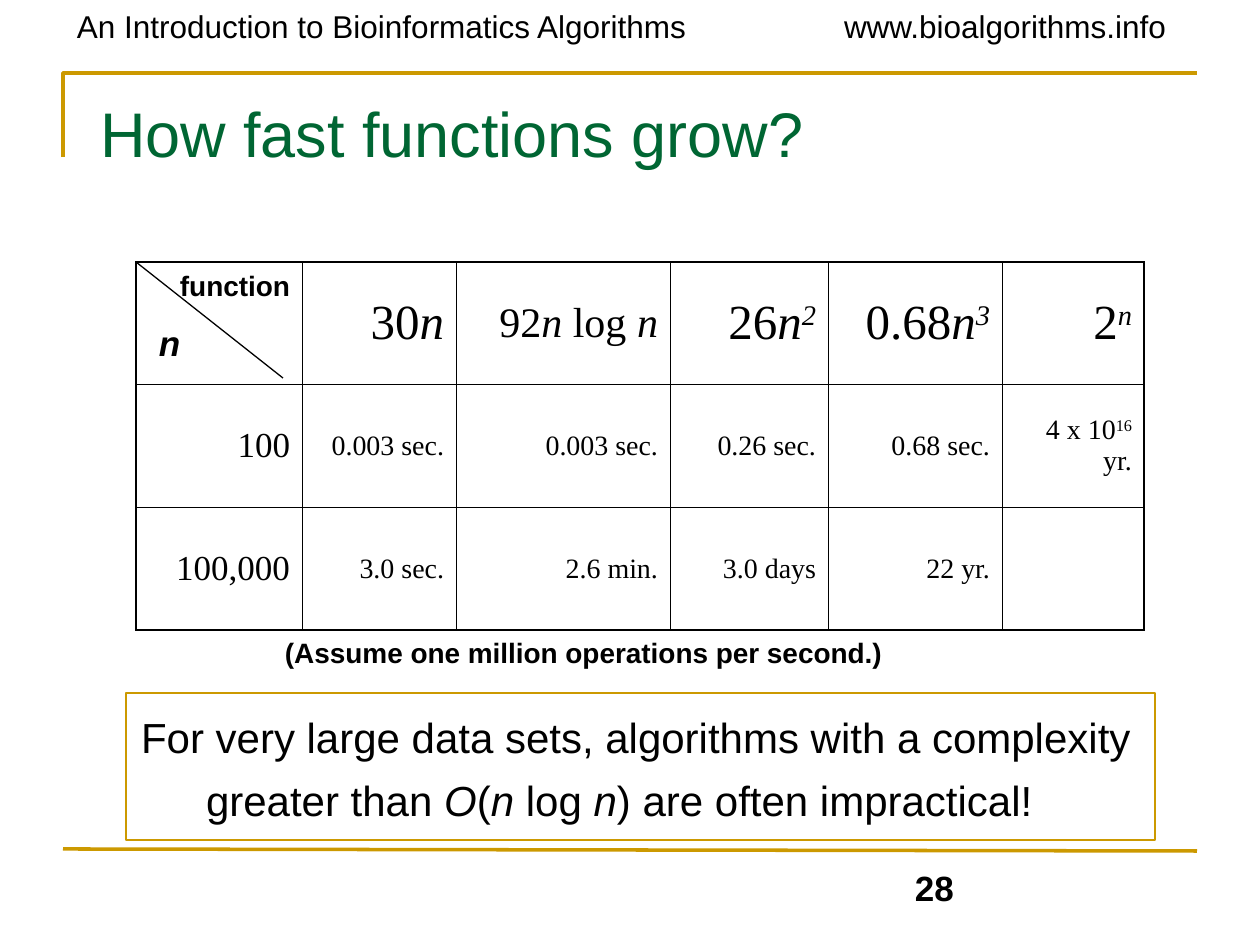
from dataclasses import dataclass

from lxml import etree
from pptx import Presentation
from pptx import util as u
from pptx.dml.color import RGBColor
from pptx.enum import shapes, text
from pptx.oxml.ns import qn

EMU_PER_PX = 914400 / 126
INSET = (12, 6)


@dataclass(frozen=True)
class Theme:
    gold: str = "CC9900"
    green: str = "006633"
    ink: str = "000000"
    sans: str = "Arial"
    serif: str = "Times New Roman"
    title: int = 36
    formula: int = 28
    long_formula: int = 24
    body: int = 24
    size_label: int = 20
    header: int = 18
    small: int = 16


THEME = Theme()


def px(length):
    return u.Emu(round(length * EMU_PER_PX))


def write(frame, runs, *, size, font=THEME.sans, color=THEME.ink, bold=False,
          align=text.PP_ALIGN.LEFT, leading=None, after=None, margin=0, indent=0):
    """Fill a frame with (text, style) runs: "i" is italic, "^" is superscript."""
    paragraph = frame.paragraphs[0]
    paragraph.alignment = align
    if leading:
        paragraph.line_spacing = u.Pt(leading)
    if after:
        paragraph.space_after = u.Pt(after)
    if margin:
        properties = paragraph._p.get_or_add_pPr()
        properties.set("marL", str(px(margin)))
        properties.set("indent", str(px(indent)))
    for words, style in [(runs, "")] if isinstance(runs, str) else runs:
        run = paragraph.add_run()
        run.text = words
        run.font.size = u.Pt(size)
        run.font.name = font
        run.font.color.rgb = RGBColor.from_string(color)
        run.font.bold = bold
        run.font.italic = "i" in style
        if "^" in style:
            run._r.get_or_add_rPr().set("baseline", "30000")


def set_up_frame(frame, inset=INSET, anchor=text.MSO_ANCHOR.TOP):
    frame.word_wrap = True
    frame.vertical_anchor = anchor
    frame.margin_left = frame.margin_right = px(inset[0])
    frame.margin_top = frame.margin_bottom = px(inset[1])
    return frame


def label(slide, box, runs, inset=INSET, anchor=text.MSO_ANCHOR.TOP, **look):
    holder = slide.shapes.add_textbox(*map(px, box))
    write(set_up_frame(holder.text_frame, inset, anchor), runs, **look)


def outline(shape, color, width):
    shape.line.color.rgb = RGBColor.from_string(color)
    shape.line.width = u.Pt(width)


def rule(slide, start, end, color, width):
    connector = slide.shapes.add_connector(
        shapes.MSO_CONNECTOR.STRAIGHT, *map(px, (*start, *end)))
    outline(connector, color, width)
    etree.SubElement(connector._element.spPr, qn("a:effectLst"))


def header(slide, box):
    left, top, width, height = box
    look = dict(size=THEME.header, leading=22, inset=(0, 0))
    label(slide, (left, top, 684, height),
          "An Introduction to Bioinformatics Algorithms", **look)
    label(slide, (left + width - 358, top, 358, height), "www.bioalgorithms.info", **look)


def title(slide, box):
    left, top, width, height = box
    builder = slide.shapes.build_freeform(px(left), px(top + 84), scale=1.0)
    builder.add_line_segments(
        [(px(left), px(top)), (px(left + width), px(top))], close=False)
    bracket = builder.convert_to_shape()
    bracket.shadow.inherit = False
    bracket.fill.background()
    outline(bracket, THEME.gold, 2)
    label(slide, (left + 21, top, 852, height), "How fast functions grow?",
          anchor=text.MSO_ANCHOR.MIDDLE, size=THEME.title, color=THEME.green,
          leading=50, after=2, margin=4)


def draw_borders(cell, outer_sides):
    properties = cell._tc.get_or_add_tcPr()
    for side in "LRTB":
        width = 1.08 if side in outer_sides else 0.45
        line = etree.SubElement(properties, qn(f"a:ln{side}"), w=str(u.Pt(width)))
        fill = etree.SubElement(line, qn("a:solidFill"))
        etree.SubElement(fill, qn("a:srgbClr"), val=THEME.ink)


def growth_table(slide, box):
    left, top, width, height = box
    n = ("n", "i")
    rows = [
        ["", [("30", ""), n], [("92", ""), n, (" log ", ""), n],
         [("26", ""), n, ("2", "i^")], [("0.68", ""), n, ("3", "i^")],
         [("2", ""), ("n", "i^")]],
        ["100", "0.003 sec.", "0.003 sec.", "0.26 sec.", "0.68 sec.",
         [("4 x 10", ""), ("16 ", "^"), ("yr.", "")]],
        ["100,000", "3.0 sec.", "2.6 min.", "3.0 days", "22 yr.", ""],
    ]
    column_widths = (166, 154, 214, 158, 174, 142)
    last_row, last_column = len(rows) - 1, len(column_widths) - 1
    grid = slide.shapes.add_table(
        len(rows), len(column_widths), *map(px, box)).table
    grid.first_row = grid.horz_banding = False
    for column, column_width in zip(grid.columns, column_widths):
        column.width = px(column_width)
    for r, entries in enumerate(rows):
        grid.rows[r].height = px(height / len(rows))
        for c, entry in enumerate(entries):
            cell = grid.cell(r, c)
            outer = (("T" if r == 0 else "") + ("B" if r == last_row else "")
                     + ("L" if c == 0 else "") + ("R" if c == last_column else ""))
            draw_borders(cell, outer)
            cell.fill.background()
            cell.vertical_anchor = text.MSO_ANCHOR.MIDDLE
            cell.margin_left = cell.margin_right = px(INSET[0])
            cell.margin_top = cell.margin_bottom = px(INSET[1])
            if not entry:
                continue
            if r == 0:
                size = THEME.long_formula if c == 2 else THEME.formula
            else:
                size = THEME.size_label if c == 0 else THEME.small
            write(cell.text_frame, entry, size=size, font=THEME.serif,
                  align=text.PP_ALIGN.RIGHT)

    rule(slide, (left, top), (left + 147, top + 116), THEME.ink, 0.75)
    label(slide, (left + 11, top + 53, 73, 55), [n], size=THEME.size_label, bold=True)
    label(slide, (left + 32, top, 136, 47), "function", size=THEME.small, bold=True)
    label(slide, (left + 137, top + height, 640, 47),
          "(Assume one million operations per second.)", size=THEME.small, bold=True)


def conclusion(slide, box):
    panel = slide.shapes.add_shape(shapes.MSO_SHAPE.RECTANGLE, *map(px, box))
    panel.shadow.inherit = False
    panel.fill.background()
    outline(panel, THEME.gold, 1)
    write(set_up_frame(panel.text_frame), [
        ("For very large data sets, algorithms with a complexity greater than ", ""),
        ("O", "i"), ("(", ""), ("n ", "i"), ("log ", ""), ("n", "i"),
        (") are often impractical!", ""),
    ], size=THEME.body, leading=36, after=7, margin=68, indent=-65)


def footer(slide, box):
    left, top, width, height = box
    rule(slide, (left, top), (left + width, top + 2), THEME.gold, 2)
    label(slide, (left + 840, top + 12, 262, height - 12), "28",
          size=THEME.size_label, bold=True)


def main():
    deck = Presentation()
    deck.slide_width, deck.slide_height = px(1260), px(945)
    slide = deck.slides.add_slide(deck.slide_layouts[6])
    header(slide, (77, 6, 1125, 39))
    title(slide, (63, 73, 1134, 107))
    growth_table(slide, (136, 262, 1008, 368))
    conclusion(slide, (126, 693, 1029, 147))
    footer(slide, (63, 849, 1134, 75))
    deck.save("out.pptx")


if __name__ == "__main__":
    main()
